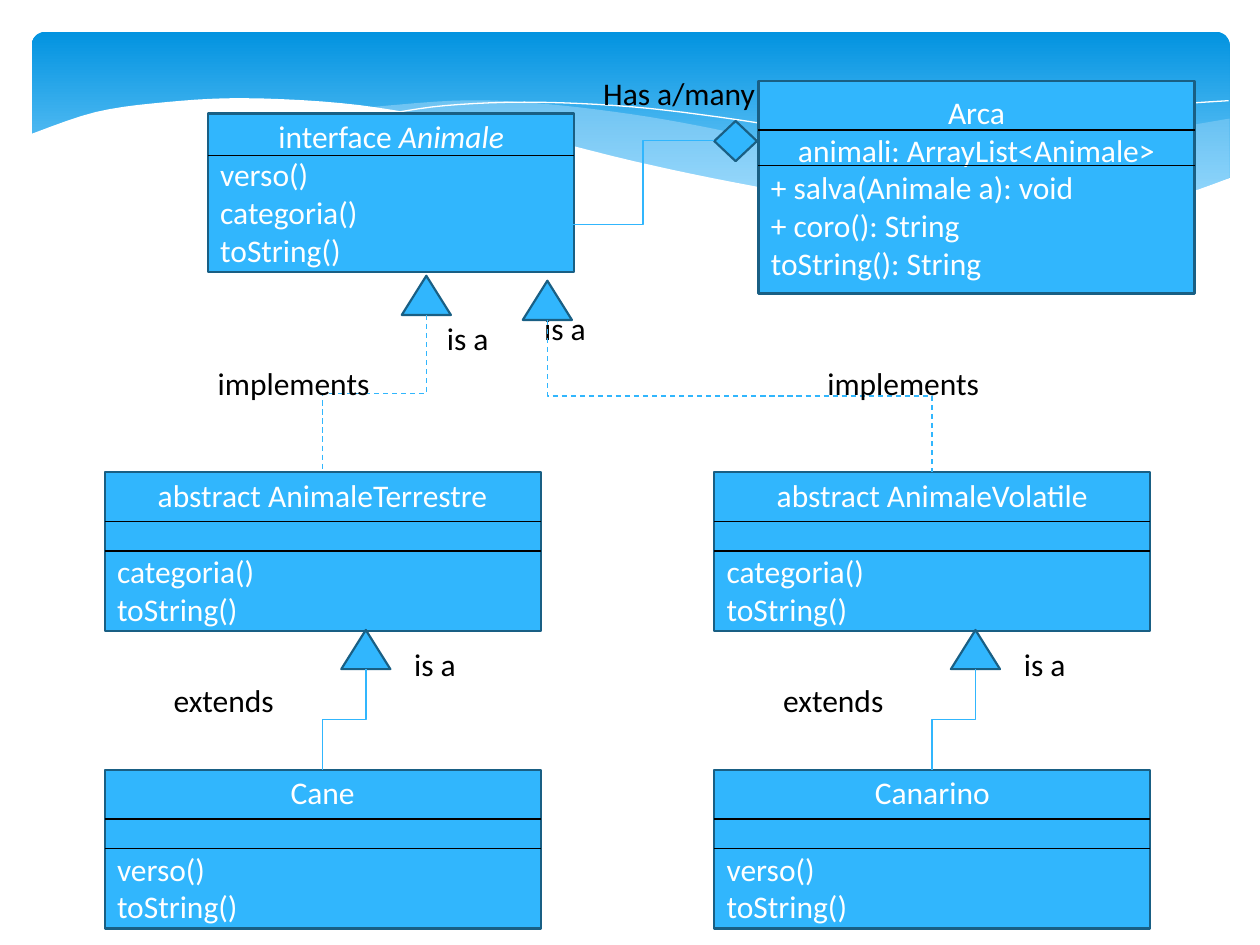
"""Build a UML class diagram slide about animals and an ark."""
from dataclasses import dataclass

from lxml import etree
from pptx import Presentation
from pptx.dml.color import RGBColor
from pptx.enum.dml import MSO_LINE
from pptx.enum.shapes import MSO_CONNECTOR, MSO_SHAPE
from pptx.enum.text import MSO_ANCHOR, PP_ALIGN
from pptx.oxml.ns import qn
from pptx.util import Cm, Pt

RECTANGLE, ROUNDED = MSO_SHAPE.RECTANGLE, MSO_SHAPE.ROUNDED_RECTANGLE
TRIANGLE, DIAMOND = MSO_SHAPE.ISOSCELES_TRIANGLE, MSO_SHAPE.DIAMOND
STRAIGHT, ELBOW = MSO_CONNECTOR.STRAIGHT, MSO_CONNECTOR.ELBOW
MIDDLE, DASH = MSO_ANCHOR.MIDDLE, MSO_LINE.DASH
CENTER, LEFT = PP_ALIGN.CENTER, PP_ALIGN.LEFT


@dataclass(frozen=True)
class Theme:
    font: str = "Calibri"
    size: int = 18
    empty_row: int = 22
    border: float = 1.25
    thin: float = 0.75
    accent: str = "31B6FD"
    edge: str = "195F84"
    dark: str = "000000"
    light: str = "FFFFFF"
    banner_top: str = "0293E0"
    banner_bottom: str = "83D3FE"
    mist: str = "C6E7FC"


def rgb(code):
    return RGBColor.from_string(code)


def smooth(points, steps=5):
    padded = [points[0], *points, points[-1]]
    curve = [points[0]]
    for before, start, end, after in zip(padded, padded[1:], padded[2:], padded[3:]):
        for step in range(1, steps + 1):
            t = step / steps
            curve.append(tuple(
                b + (c - a) * t / 2
                + (2 * a - 5 * b + 4 * c - d) * t ** 2 / 2
                + (3 * b - a - 3 * c + d) * t ** 3 / 2
                for a, b, c, d in zip(before, start, end, after)))
    return curve


class DiagramPage:
    def __init__(self, page, theme):
        self.shapes = page.shapes
        self.theme = theme

    def style_span(self, span, color):
        span.font.name = self.theme.font
        span.font.size = Pt(self.theme.size)
        span.font.color.rgb = rgb(color)

    def banner(self, left, top, width, height):
        box = self.shapes.add_shape(ROUNDED, Cm(left), Cm(top), Cm(width), Cm(height))
        box.shadow.inherit = False
        box.adjustments[0] = 0.07
        box.line.fill.background()
        box.fill.gradient()
        box.fill.gradient_angle = 270
        colors = (self.theme.banner_top, self.theme.banner_bottom)
        for stop, color, position in zip(box.fill.gradient_stops, colors, (0, 0.9)):
            stop.color.rgb = rgb(color)
            stop.position = position

    def outline(self, points, closed):
        start, *rest = [(Cm(x), Cm(y)) for x, y in points]
        builder = self.shapes.build_freeform(*start)
        builder.add_line_segments(rest, close=closed)
        shape = builder.convert_to_shape()
        shape.shadow.inherit = False
        return shape

    def wave(self, points, color, opacity=100):
        shape = self.outline(points, True)
        shape.line.fill.background()
        shape.fill.solid()
        shape.fill.fore_color.rgb = rgb(color)
        if opacity < 100:
            fill = shape.fill._xPr.find(f".//{qn('a:srgbClr')}")
            etree.SubElement(fill, qn("a:alpha"), val=str(opacity * 1000))

    def streak(self, points):
        shape = self.outline(smooth(points), False)
        shape.fill.background()
        shape.line.width = 0
        shape.line.color.rgb = rgb(self.theme.light)

    def node(self, kind, left, top, width=0.99, height=0.79):
        box = self.shapes.add_shape(kind, Cm(left), Cm(top), Cm(width), Cm(height))
        box.shadow.inherit = False
        box.fill.solid()
        box.fill.fore_color.rgb = rgb(self.theme.accent)
        box.line.color.rgb = rgb(self.theme.edge)
        box.line.width = Pt(self.theme.border)
        return box

    def class_box(self, left, top, headings, members, dividers=(0.99, 1.59),
                  width=8.79, height=3.2, italic="", empty_row=False):
        box = self.node(RECTANGLE, left, top, width, height)
        frame = box.text_frame
        frame.word_wrap = True
        frame.vertical_anchor = MIDDLE
        frame.text = "\n".join(headings + members)
        frame.paragraphs[0].add_run().text = italic
        for index, para in enumerate(frame.paragraphs):
            para.alignment = CENTER if index < len(headings) else LEFT
            for span in para.runs:
                self.style_span(span, self.theme.light)
        if italic:
            frame.paragraphs[0].runs[-1].font.italic = True
        if empty_row:
            frame.paragraphs[0].space_after = Pt(self.theme.empty_row)
        for offset in dividers:
            self.line(STRAIGHT, (left, top + offset), (left + width, top + offset),
                      self.theme.dark)

    def label(self, text, left, top, width):
        box = self.shapes.add_textbox(Cm(left), Cm(top), Cm(width), Cm(1.02))
        box.text_frame.word_wrap = False
        box.text_frame.text = text
        self.style_span(box.text_frame.paragraphs[0].runs[0], self.theme.dark)

    def line(self, kind, start, end, color):
        link = self.shapes.add_connector(kind, *map(Cm, start + end))
        link.line.color.rgb = rgb(color)
        link.line.width = Pt(self.theme.thin)
        etree.SubElement(link._element.spPr, qn("a:effectLst"))
        return link

    def descent(self, start, end, dashed=False):
        """Draw an elbow that leaves and arrives vertically, as a quarter turn of a level one."""
        (x1, y1), (x2, y2) = start, end
        middle_x, middle_y = (x1 + x2) / 2, (y1 + y2) / 2
        run, rise = (y2 - y1) / 2, (x1 - x2) / 2
        link = self.line(ELBOW, (middle_x - run, middle_y - rise),
                         (middle_x + run, middle_y + rise), self.theme.accent)
        link._element.spPr.get_or_add_xfrm().set("rot", "5400000")
        if dashed:
            link.line.dash_style = DASH


def draw_background(diagram):
    theme = diagram.theme
    diagram.banner(0.64, 0.64, 24.15, 3.96)
    diagram.wave(
        smooth([(24.79, 2.39), (23.75, 2.57), (22.63, 2.79), (21.13, 3.18),
                (19.13, 3.63), (16.79, 4.06)])
        + smooth([(16.79, 4.06), (18.26, 4.24), (19.84, 4.37), (21.21, 4.37),
                  (22.58, 4.22), (23.75, 3.96), (24.79, 3.58)]), theme.mist, 29)
    diagram.wave(
        smooth([(22.68, 4.24), (21.26, 4.04), (19.69, 3.78), (17.93, 3.4), (15.98, 2.95),
                (14.1, 2.54), (12.42, 2.26), (10.67, 2.07), (9.17, 2.03), (7.26, 2.18)])
        + smooth([(7.26, 2.18), (9.19, 2.46), (11.4, 2.95), (13.46, 3.43), (15.27, 3.81),
                  (16.89, 4.09), (18.69, 4.29), (20.5, 4.39), (21.54, 4.37),
                  (22.68, 4.24)]), theme.mist, 40)
    diagram.streak([(7.85, 2.29), (8.97, 2.13), (10.57, 2.06), (12.42, 2.13), (14.12, 2.31),
                    (16.15, 2.62), (18.47, 3.05), (21.11, 3.68), (23.04, 4.22)])
    diagram.streak([(15.57, 3.84), (17.65, 3.3), (19.71, 2.82), (22, 2.36),
                    (23.47, 2.13), (24.77, 2.03)])
    diagram.wave(
        smooth([(24.82, 3.58), (23.62, 3.99), (22.23, 4.24), (20.55, 4.34), (18.9, 4.27),
                (16.97, 4.06), (14.71, 3.66), (12.78, 3.25), (10.62, 2.72), (8.64, 2.34),
                (6.88, 2.08), (4.9, 1.98), (3.35, 2.06), (1.93, 2.26), (0.58, 2.72)])
        + [(0.58, 5.69), (24.82, 5.69)], theme.light)


def draw_classes(diagram):
    diagram.class_box(4.19, 2.29, ["interface "], ["verso()", "categoria()", "toString()"],
                      (0.84,), 7.39, italic="Animale")
    branches = ((2.11, "abstract AnimaleTerrestre", "Cane", (8.1, 5.56), (10.72, 6.1)),
                (14.4, "abstract AnimaleVolatile", "Canarino", (10.54, 5.66), (8.76, 6.3)))
    for left, parent, child, (tip_x, tip_y), is_a in branches:
        center = left + 4.39
        diagram.class_box(left, 9.52, [parent], ["categoria()", "toString()"], empty_row=True)
        diagram.class_box(left, 15.52, [child], ["verso()", "toString()"], empty_row=True)
        diagram.label("is a", *is_a, 1.37)
        diagram.node(TRIANGLE, tip_x, tip_y)
        diagram.descent((tip_x + 0.5, tip_y + 0.79), (center, 9.52), dashed=True)
        diagram.node(TRIANGLE, left + 4.77, 12.7)
        diagram.descent((left + 5.27, 13.49), (center, 15.52))
        diagram.label("is a", left + 5.99, 12.88, 1.37)
        diagram.label("implements", left + 2.03, 7.21, 3.71)
        diagram.label("extends", left + 1.14, 13.61, 2.69)
    diagram.class_box(15.29, 1.63, ["Arca", "animali: ArrayList<Animale>"],
                      ["+ salva(Animale a): void", "+ coro(): String", "toString(): String"],
                      (0.99, 1.7), height=4.29)
    diagram.node(DIAMOND, 14.4, 2.44, 0.86, 0.81)
    diagram.line(ELBOW, (14.4, 2.84), (11.53, 4.52), diagram.theme.accent)
    diagram.label("Has a/many", 11.91, 1.37, 3.63)


def main():
    deck = Presentation()
    deck.slide_width, deck.slide_height = Cm(25.4), Cm(19.05)
    diagram = DiagramPage(deck.slides.add_slide(deck.slide_layouts[6]), Theme())
    draw_background(diagram)
    draw_classes(diagram)
    deck.save("out.pptx")


if __name__ == "__main__":
    main()
